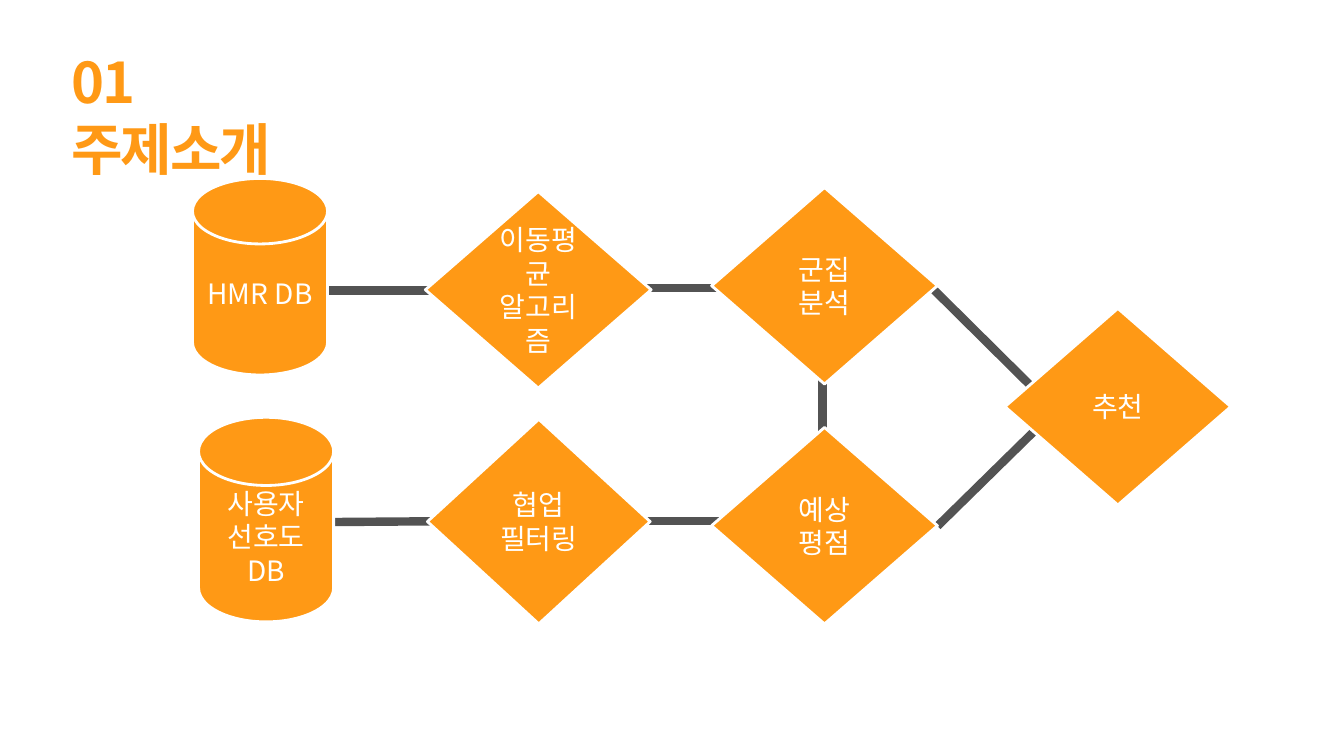
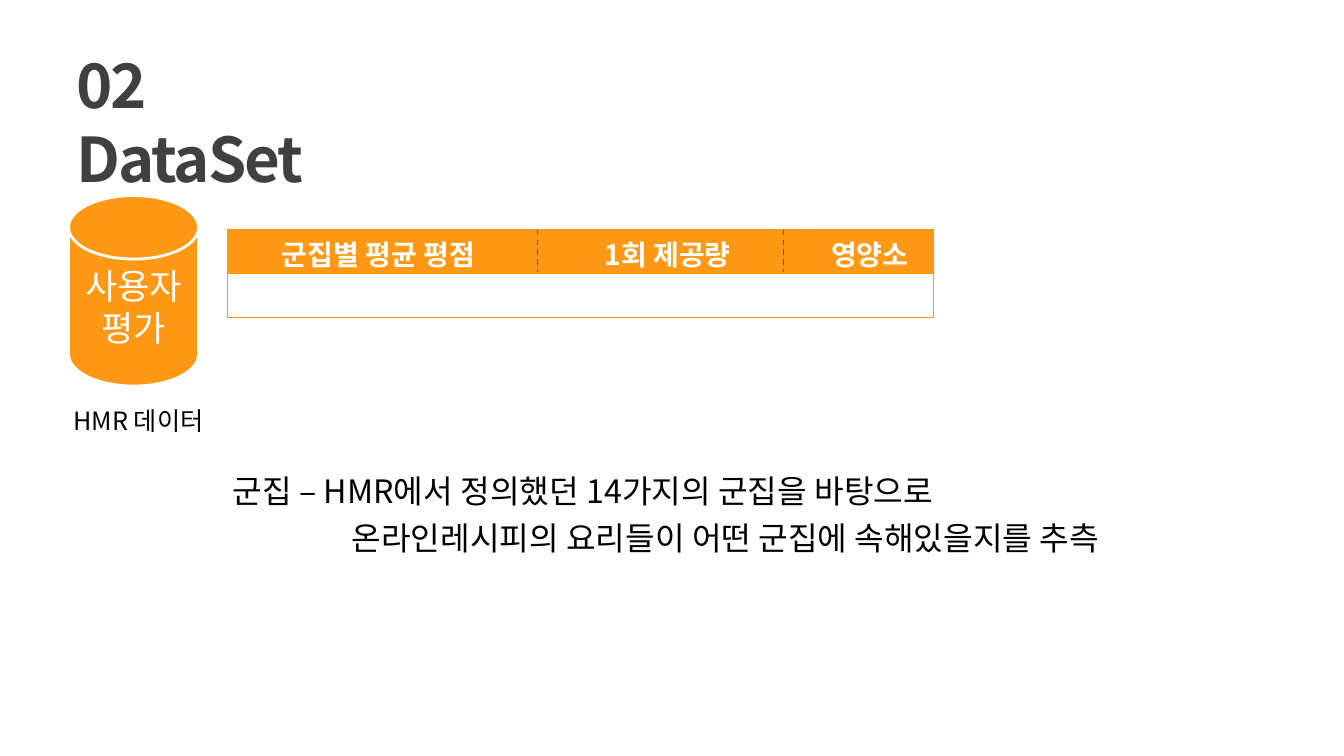
from dataclasses import dataclass
from typing import Optional

from lxml import etree
from pptx import Presentation
from pptx.dml.color import RGBColor
from pptx.enum import dml, shapes, text
from pptx.oxml import ns
from pptx.util import Emu, Inches, Pt

GRID = Inches(0.1)
SLIDE_COLS, SLIDE_ROWS = 133.33, 75
FONT = "Noto Sans CJK KR"
PLAIN_TABLE = "{2D5ABB26-0587-4C30-8999-92F81FD0307C}"
COLORS = {
    "orange": "FF9915",
    "border": "FF960F",
    "link": "535353",
    "dark": "404040",
    "white": "FFFFFF",
    "black": "000000",
}
DISK = shapes.MSO_SHAPE.FLOWCHART_MAGNETIC_DISK
DIAMOND = shapes.MSO_SHAPE.DIAMOND
CENTER = text.PP_ALIGN.CENTER


@dataclass
class Box:
    col: float
    row: float
    cols: float
    rows: float


@dataclass
class Style:
    size: float
    color: str
    bold: bool = False
    align: Optional[text.PP_ALIGN] = None
    spacing: float = 0


@dataclass
class Node:
    kind: shapes.MSO_SHAPE
    label: str
    box: Box
    size: float = 20


@dataclass
class Link:
    col1: float
    row1: float
    col2: float
    row2: float
    width: float = 6
    dashed: bool = False


@dataclass
class Note:
    label: str
    box: Box
    size: float


def diamond(label: str, col: float, row: float) -> Node:
    return Node(DIAMOND, label, Box(col, row, 22.4, 19.5))


FLOW_LINKS = [
    Link(64, 51.7, 72.9, 51.7),
    Link(81.6, 46.5, 81.6, 36.3),
    Link(32.1, 28.8, 45.3, 28.8),
    Link(60.4, 28.6, 72.2, 28.6),
    Link(103.8, 39.8, 92.7, 28.8),
    Link(31.6, 51.8, 45.3, 51.7),
    Link(103.8, 41.6, 93, 52.2),
]
FLOW_NODES = [
    Node(DISK, "HMR DB", Box(19.1, 17.7, 13.4, 19.5)),
    diamond("예상\n평점", 70.6, 42.4),
    diamond("이동평균\n알고리즘", 42.2, 19),
    diamond("군집\n분석", 70.6, 18.6),
    Node(DIAMOND, "협업\n필터링", Box(42.4, 41.6, 22.1, 20.3)),
    Node(DISK, "사용자\n선호도\nDB", Box(19.7, 41.4, 13.4, 20.3)),
    diamond("추천", 99.7, 30.6),
]
RATING_NODE = Node(DISK, "사용자\n평가", Box(6.8, 19.4, 12.9, 18.9), 25)
TABLE_BOX = Box(22.6, 22.8, 70, 8.7)
TABLE_COLUMNS = [("군집별 평균 평점", 29.9), ("1회 제공량", 27.5), ("영양소", 12.6)]
DIVIDERS = [Link(col, 22.8, col, 27, 1, True) for col in (53.3, 77.7)]
NOTES = [
    Note("HMR 데이터", Box(1.3, 39.5, 21.3, 4.3), 18),
    Note("군집 – HMR에서 정의했던 14가지의 군집을 바탕으로", Box(17.1, 46, 107.1, 5.2), 23),
    Note("온라인레시피의 요리들이 어떤 군집에 속해있을지를 추측", Box(28.9, 50.7, 104.4, 5.1), 23),
]


def units(value: float) -> Emu:
    return Emu(round(value * GRID))


def place(box: Box) -> list[Emu]:
    return [units(v) for v in (box.col, box.row, box.cols, box.rows)]


def rgb(name: str) -> RGBColor:
    return RGBColor.from_string(COLORS[name])


def write(tf, label: str, style: Style) -> None:
    tf.text = label
    for p in tf.paragraphs:
        p.alignment = style.align
        for r in p.runs:
            r.font.size = Pt(style.size)
            r.font.bold = style.bold
            r.font.name = FONT
            r.font.color.rgb = rgb(style.color)
            rPr = r._r.get_or_add_rPr()
            etree.SubElement(rPr, ns.qn("a:ea"), typeface=FONT)
            if style.spacing:
                rPr.set("spc", str(round(style.spacing * 100)))


def add_title(s, label: str, col: float, size: float, color: str) -> None:
    sp = s.shapes.add_textbox(*place(Box(col, 4.2, 26, 8)))
    sp.text_frame.word_wrap = True
    write(sp.text_frame, label, Style(size, color, bold=True, spacing=-1.5))


def add_node(s, node: Node) -> None:
    sp = s.shapes.add_shape(node.kind, *place(node.box))
    sp.shadow.inherit = False
    sp.fill.solid()
    sp.fill.fore_color.rgb = rgb("orange")
    sp.line.color.rgb = rgb("white")
    sp.line.width = Pt(2)
    sp.text_frame.word_wrap = True
    sp.text_frame.vertical_anchor = text.MSO_ANCHOR.MIDDLE
    write(sp.text_frame, node.label, Style(node.size, "white", align=CENTER))


def add_link(s, link: Link) -> None:
    ends = [units(v) for v in (link.col1, link.row1, link.col2, link.row2)]
    line = s.shapes.add_connector(shapes.MSO_CONNECTOR.STRAIGHT, *ends)
    line.line.color.rgb = rgb("link")
    line.line.width = Pt(link.width)
    if link.dashed:
        line.line.dash_style = dml.MSO_LINE.DASH
    etree.SubElement(line._element.spPr, ns.qn("a:effectLst"))


def add_note(s, note: Note) -> None:
    sp = s.shapes.add_textbox(*place(note.box))
    tf = sp.text_frame
    tf.word_wrap = True
    write(tf, note.label, Style(note.size, "black", align=text.PP_ALIGN.JUSTIFY))
    p = tf.paragraphs[0]
    p.line_spacing = 1.07
    p.space_after = Pt(8)
    pPr = p._p.get_or_add_pPr()
    pPr.set("marL", str(Inches(0.5)))
    pPr.set("indent", "0")


def add_borders(cell) -> None:
    tcPr = cell._tc.get_or_add_tcPr()
    for i, side in enumerate("LRTB"):
        ln = etree.Element(ns.qn(f"a:ln{side}"), w=str(Pt(0.75)))
        fill = etree.SubElement(ln, ns.qn("a:solidFill"))
        etree.SubElement(fill, ns.qn("a:srgbClr"), val=COLORS["border"])
        tcPr.insert(i, ln)


def add_data_table(s) -> None:
    frame = s.shapes.add_table(2, len(TABLE_COLUMNS), *place(TABLE_BOX))
    table = frame.table
    table.first_row = table.horz_banding = False
    table._tbl.tblPr.find(ns.qn("a:tableStyleId")).text = PLAIN_TABLE
    for row in table.rows:
        row.height = units(TABLE_BOX.rows / 2)
    for i, (label, cols) in enumerate(TABLE_COLUMNS):
        table.columns[i].width = units(cols)
        write(table.cell(0, i).text_frame, label, Style(20, "white", True, CENTER))
    table.cell(1, 0).merge(table.cell(1, len(TABLE_COLUMNS) - 1))
    for i, row in enumerate(table.rows):
        for cell in row.cells:
            cell.margin_top, cell.margin_bottom = Inches(0.03), 0
            cell.vertical_anchor = text.MSO_ANCHOR.MIDDLE
            cell.fill.solid()
            cell.fill.fore_color.rgb = rgb("white" if i else "orange")
            add_borders(cell)


def build_topic(s) -> None:
    for link in FLOW_LINKS:
        add_link(s, link)
    for node in FLOW_NODES:
        add_node(s, node)
    add_title(s, "01 주제소개", 6.1, 40, "orange")


def build_dataset(s) -> None:
    add_node(s, RATING_NODE)
    add_title(s, "02 DataSet", 6.6, 44, "dark")
    add_data_table(s)
    for link in DIVIDERS:
        add_link(s, link)
    for note in NOTES:
        add_note(s, note)


def main() -> None:
    prs = Presentation()
    prs.slide_width, prs.slide_height = units(SLIDE_COLS), units(SLIDE_ROWS)
    for build in (build_topic, build_dataset):
        build(prs.slides.add_slide(prs.slide_layouts[6]))
    prs.save("out.pptx")


if __name__ == "__main__":
    main()
